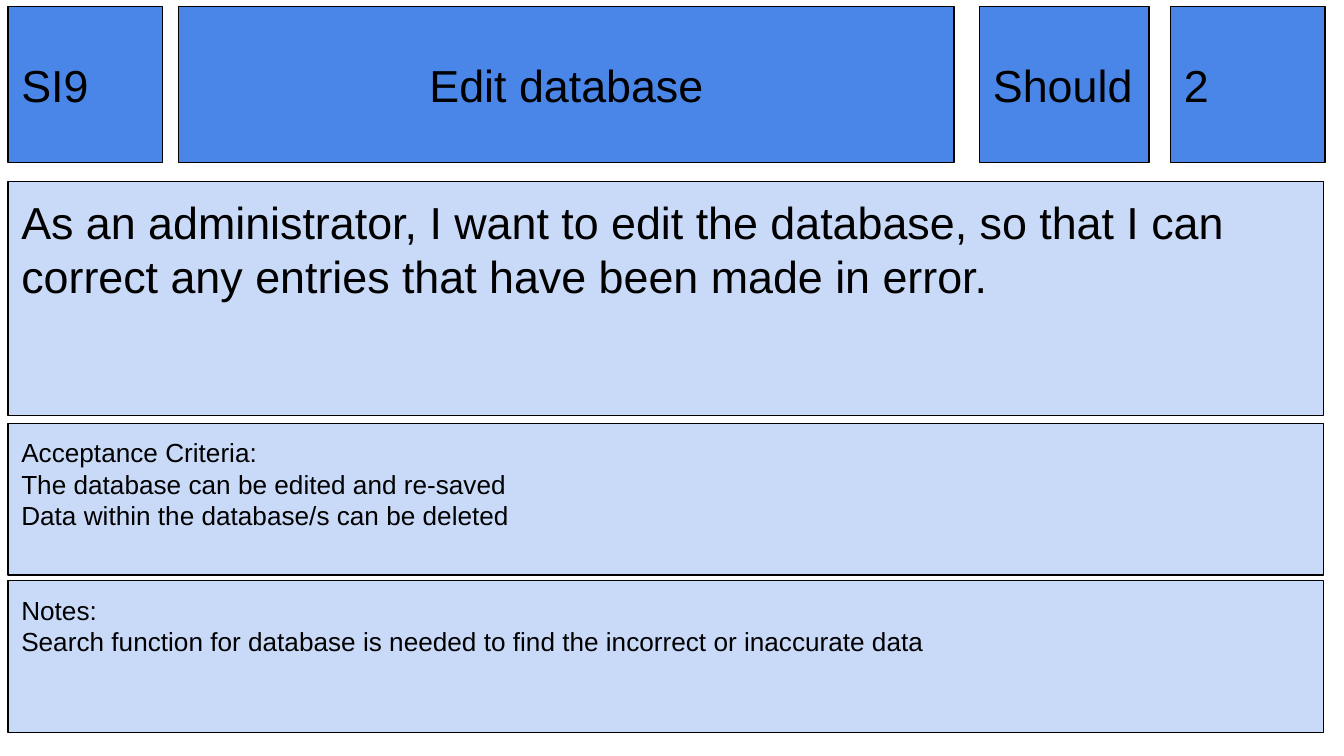
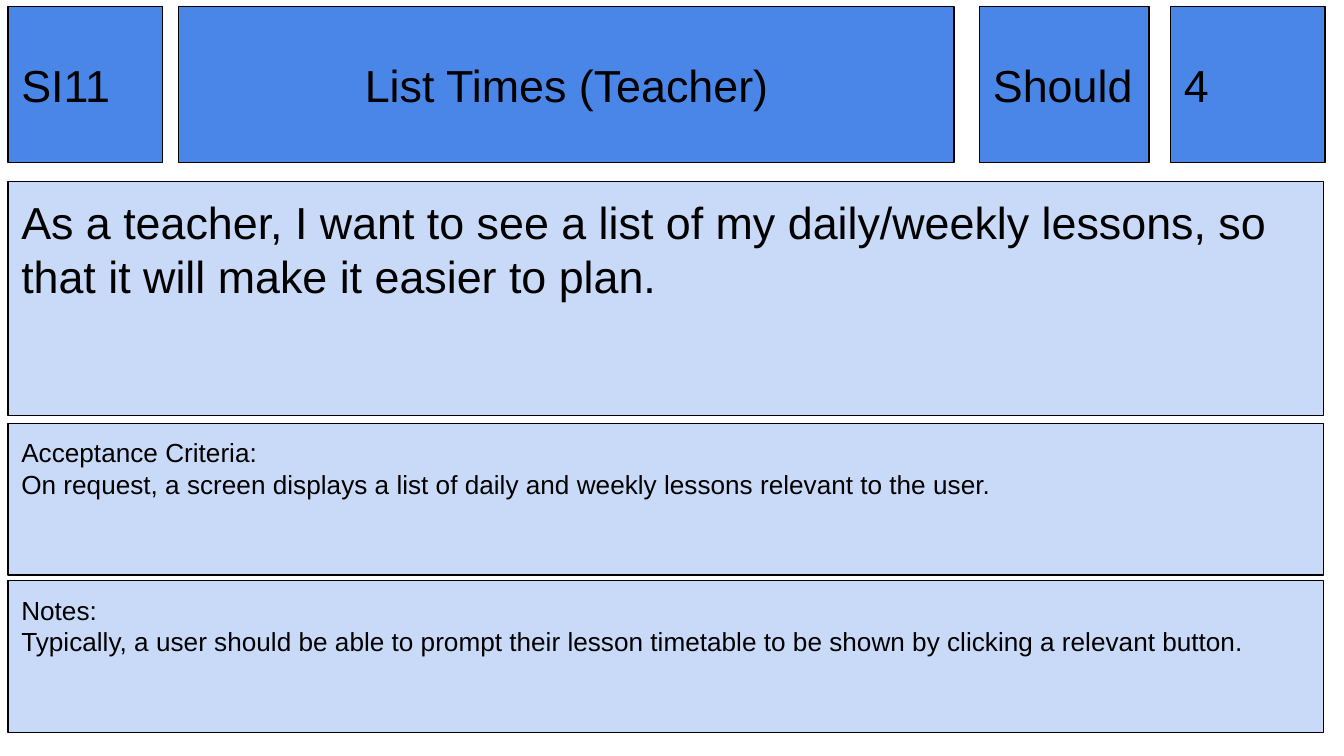
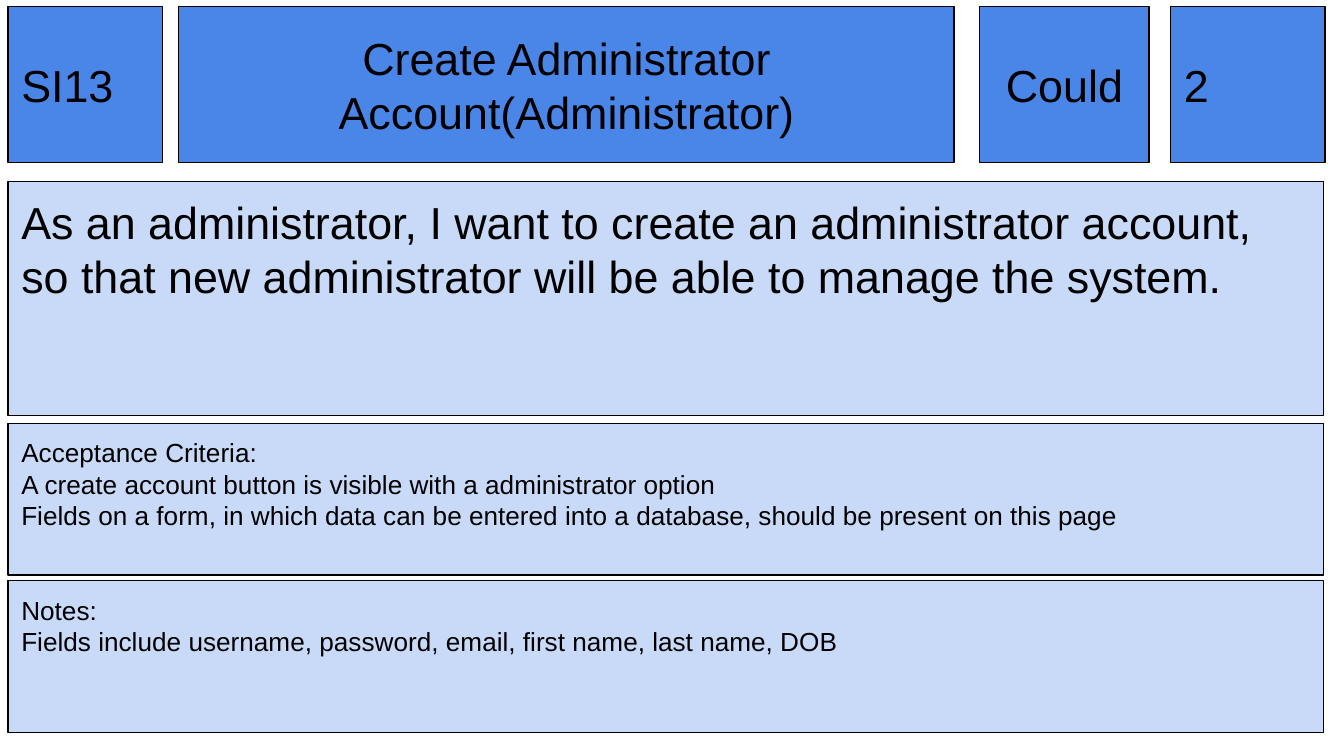
from pptx import Presentation
from pptx import util as u
from pptx.dml.color import RGBColor
from pptx.enum import shapes, text

STORIES = [
    {
        "header": ["SI9", "Edit database", "Should", "2"],
        "centred": [1],
        "story": "As an administrator, I want to edit the database, so that I can correct any entries that have been made in error.",
        "criteria": ["The database can be edited and re-saved",
                     "Data within the database/s can be deleted"],
        "notes": ["Search function for database is needed to find the incorrect or inaccurate data"],
    },
    {
        "header": ["SI11", "List Times (Teacher)", "Should", "4"],
        "centred": [1],
        "story": "As a teacher, I want to see a list of my daily/weekly lessons, so that it will make it easier to plan.",
        "criteria": ["On request, a screen displays a list of daily and weekly lessons relevant to the user."],
        "notes": ["Typically, a user should be able to prompt their lesson timetable to be shown by clicking a relevant button."],
    },
    {
        "header": ["SI13", "Create Administrator Account(Administrator)", "Could", "2"],
        "centred": [1, 2],
        "story": "As an administrator, I want to create an administrator account, so that new administrator will be able to manage the system.",
        "criteria": ["A create account button is visible with a administrator option",
                     "Fields on a form, in which data can be entered into a database, should be present on this page"],
        "notes": ["Fields include username, password, email, first name, last name, DOB"],
    },
]

WIDTH = 10
HEIGHT = WIDTH * 9 / 16
HEADER_FILL, PANEL_FILL, INK = "4A86E8", "C9DAF8", "000000"
FONT = "Arial"
LARGE, SMALL = 24, 14
INSET = 0.1
HEADER_TOP, HEADER_HEIGHT = 0.05, 1.16
HEADER_COLUMNS = [(0.06, 1.15), (1.33, 5.77), (7.29, 1.26), (8.71, 1.15)]
PANEL_LEFT, PANEL_WIDTH = 0.06, 9.79
PANEL_ROWS = [(1.35, 1.74), (3.15, 1.13), (4.32, 1.13)]


def colour(value):
    return RGBColor.from_string(value)


def write(frame, lines, size=SMALL, centred=False, middle=False):
    frame.word_wrap = True
    frame.margin_left = frame.margin_right = u.Inches(INSET)
    frame.margin_top = frame.margin_bottom = u.Inches(INSET)
    frame.vertical_anchor = text.MSO_ANCHOR.MIDDLE if middle else text.MSO_ANCHOR.TOP
    for index, line in enumerate(lines):
        paragraph = frame.add_paragraph() if index else frame.paragraphs[0]
        paragraph.alignment = text.PP_ALIGN.CENTER if centred else text.PP_ALIGN.LEFT
        run = paragraph.add_run()
        run.text = line
        run.font.name = FONT
        run.font.size = u.Pt(size)
        run.font.color.rgb = colour(INK)


def add_box(slide, left, top, width, height, fill, lines, **text_format):
    shape = slide.shapes.add_shape(
        shapes.MSO_SHAPE.RECTANGLE, *map(u.Inches, (left, top, width, height)))
    shape.shadow.inherit = False
    shape.fill.solid()
    shape.fill.fore_color.rgb = colour(fill)
    shape.line.color.rgb = colour(INK)
    shape.line.width = u.Pt(0.75)
    write(shape.text_frame, lines, **text_format)


def add_story(presentation, story):
    slide = presentation.slides.add_slide(presentation.slide_layouts[6])
    for index, (label, (left, width)) in enumerate(zip(story["header"], HEADER_COLUMNS)):
        add_box(slide, left, HEADER_TOP, width, HEADER_HEIGHT, HEADER_FILL, [label],
                size=LARGE, centred=index in story["centred"], middle=True)
    panels = [
        ([story["story"]], LARGE),
        (["Acceptance Criteria:", *story["criteria"]], SMALL),
        (["Notes:", *story["notes"]], SMALL),
    ]
    for (lines, size), (top, height) in zip(panels, PANEL_ROWS):
        add_box(slide, PANEL_LEFT, top, PANEL_WIDTH, height, PANEL_FILL, lines, size=size)


def main():
    presentation = Presentation()
    presentation.slide_width = u.Inches(WIDTH)
    presentation.slide_height = u.Inches(HEIGHT)
    for story in STORIES:
        add_story(presentation, story)
    presentation.save("out.pptx")


if __name__ == "__main__":
    main()
